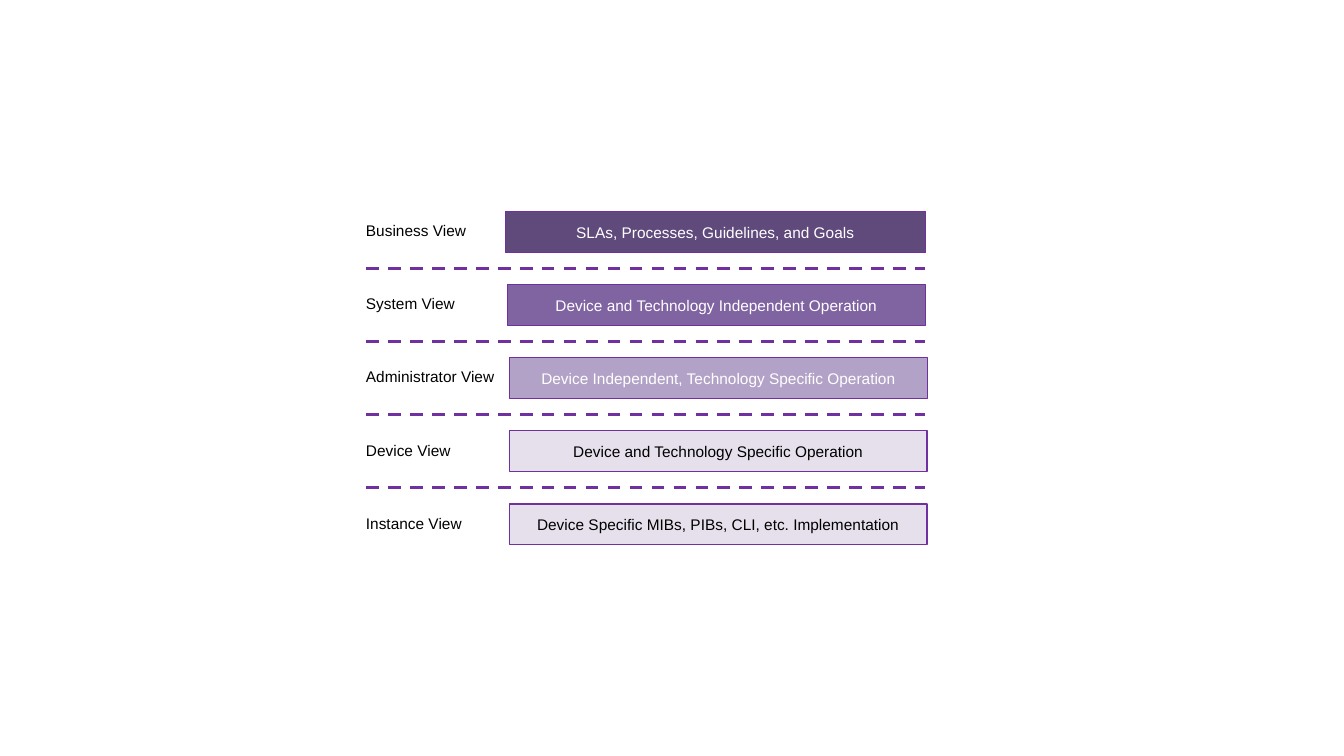
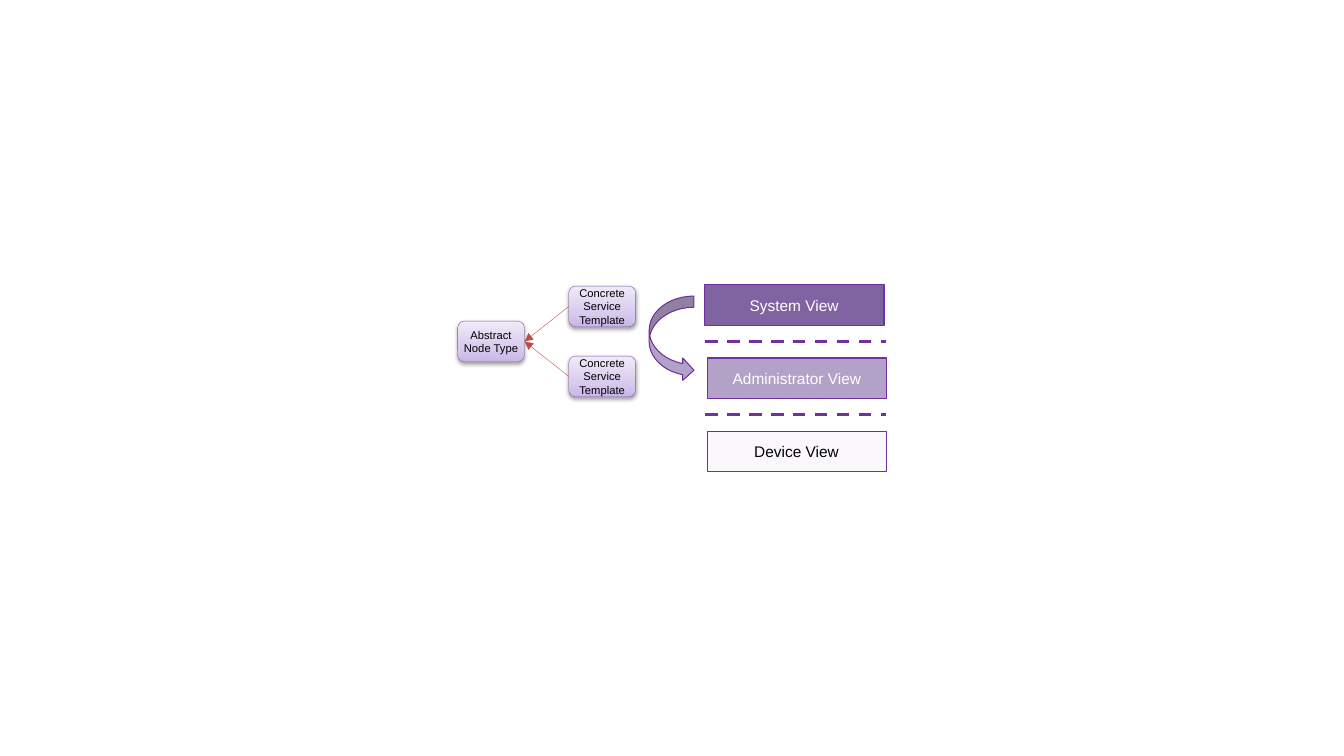
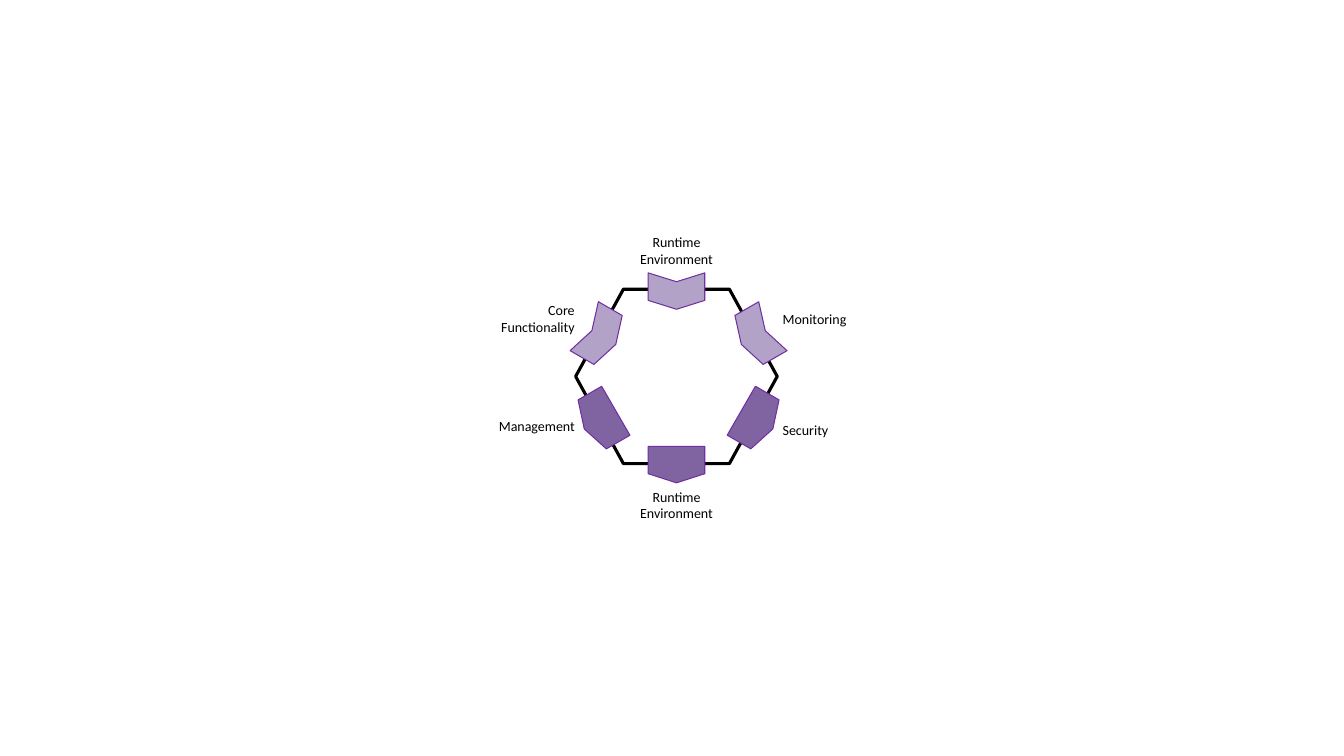
from lxml import etree
from pptx import Presentation
from pptx.dml.color import RGBColor
from pptx.enum.dml import MSO_LINE
from pptx.enum.shapes import MSO_CONNECTOR, MSO_SHAPE
from pptx.enum.text import MSO_ANCHOR, PP_ALIGN
from pptx.oxml import parse_xml
from pptx.oxml.ns import nsdecls, qn
from pptx.util import Pt

RECT = MSO_SHAPE.RECTANGLE
ROUNDED = MSO_SHAPE.ROUNDED_RECTANGLE
CURVED_ARROW = MSO_SHAPE.CURVED_RIGHT_ARROW
HEXAGON = MSO_SHAPE.HEXAGON
CHEVRON = MSO_SHAPE.CHEVRON
PENTAGON = MSO_SHAPE.PENTAGON
STRAIGHT = MSO_CONNECTOR.STRAIGHT
DASH = MSO_LINE.DASH
MIDDLE = MSO_ANCHOR.MIDDLE
LEFT, CENTER, RIGHT = PP_ALIGN.LEFT, PP_ALIGN.CENTER, PP_ALIGN.RIGHT

BLACK, WHITE = "000000", "FFFFFF"
OUTLINE = "7030A0"
DEEP, STRONG, MEDIUM, PALE = "604A7B", "8064A2", "B3A2C7", "E6E0EC"
NODE_LINE, ARROW = "7D60A0", "BF4C48"
NODE_STOPS = ((0, "C9B5E8"), (35, "D8CBEE"), (100, "F0EAF9"))

ROW_PITCH, BAR_HEIGHT, RULE_DROP = 52.2, 29, 40.4


def rgb(value):
    """Turn a hex string into a colour."""
    return RGBColor.from_string(value)


def write(tf, text, size, font, color, align):
    """Fill a text frame and format all its paragraphs."""
    tf.text = text
    for p in tf.paragraphs:
        p.alignment = align
        for r in p.runs:
            r.font.size = Pt(size)
            r.font.name = font
            r.font.color.rgb = rgb(color)


def set_insets(tf, left, top, right, bottom):
    """Set the four margins of a text frame."""
    tf.margin_left, tf.margin_top = Pt(left), Pt(top)
    tf.margin_right, tf.margin_bottom = Pt(right), Pt(bottom)


def add_box(slide, kind, box, fill, line=OUTLINE, weight=0.75):
    """Add a flat preset shape in the given box."""
    sp = slide.shapes.add_shape(kind, *(Pt(v) for v in box))
    sp.shadow.inherit = False
    sp.fill.solid()
    sp.fill.fore_color.rgb = rgb(fill)
    sp.line.color.rgb = rgb(line)
    sp.line.width = Pt(weight)
    return sp


def add_label(slide, box, text, size, font, align, insets=(0, 0, 0, 0)):
    """Add an unwrapped black label."""
    tf = slide.shapes.add_textbox(*(Pt(v) for v in box)).text_frame
    tf.word_wrap = False
    set_insets(tf, *insets)
    write(tf, text, size, font, BLACK, align)


def add_line(slide, start, end, color, weight):
    """Add a straight connector without a shadow."""
    line = slide.shapes.add_connector(STRAIGHT, *(Pt(v) for v in start + end))
    line.line.color.rgb = rgb(color)
    line.line.width = Pt(weight)
    etree.SubElement(line._element.spPr, qn("a:effectLst"))
    return line


def view_stack(slide, left, top, rule_left, rule_width, bars):
    """Stack view bars with a dashed rule between neighbours."""
    shapes = []
    for i, (text, fill, color, shift, width) in enumerate(bars):
        y = top + i * ROW_PITCH
        if i < len(bars) - 1:
            rule_y = y + RULE_DROP
            rule = add_line(slide, (rule_left, rule_y),
                            (rule_left + rule_width, rule_y), OUTLINE, 2.25)
            rule.line.dash_style = DASH
        sp = add_box(slide, RECT, (left + shift, y, width, BAR_HEIGHT), fill)
        sp.text_frame.vertical_anchor = MIDDLE
        write(sp.text_frame, text, 11, "Arial", color, CENTER)
        shapes.append(sp)
    return shapes


def views_slide(slide, left, top):
    """Show the five policy views with their names."""
    bars = (
        ("SLAs, Processes, Guidelines, and Goals", DEEP, WHITE, 0, 299.6),
        ("Device and Technology Independent Operation", STRONG, WHITE, 1.4, 298.2),
        ("Device Independent, Technology Specific Operation", MEDIUM, WHITE, 3, 298.2),
        ("Device and Technology Specific Operation", PALE, BLACK, 2.8, 298.2),
        ("Device Specific MIBs, PIBs, CLI, etc. Implementation", PALE, BLACK, 2.8, 298.2),
    )
    names = ("Business View", "System View", "Administrator View",
             "Device View", "Instance View")
    view_stack(slide, left + 99.8, top, left + 0.3, 398.9, bars)
    for i, name in enumerate(names):
        add_label(slide, (left, top + 3.4 + i * ROW_PITCH, 100, 20.9),
                  name, 11, "Arial", LEFT, (0, 3.6, 7.2, 3.6))


def add_node(slide, left, top, text):
    """Add a rounded node with a gradient and a soft shadow."""
    sp = add_box(slide, ROUNDED, (left, top, 47.8, 29), WHITE, NODE_LINE, 0.25)
    stops = "".join(f'<a:gs pos="{pos * 1000}"><a:srgbClr val="{color}"/></a:gs>'
                    for pos, color in NODE_STOPS)
    spPr = sp._element.spPr
    spPr.replace(spPr.find(qn("a:solidFill")), parse_xml(
        f'<a:gradFill {nsdecls("a")} rotWithShape="1"><a:gsLst>{stops}</a:gsLst>'
        '<a:lin ang="16200000" scaled="1"/></a:gradFill>'))
    spPr.replace(spPr.find(qn("a:effectLst")), parse_xml(
        f'<a:effectLst {nsdecls("a")}>'
        f'<a:outerShdw blurRad="{Pt(3.1)}" dist="{Pt(1.6)}" dir="5400000" rotWithShape="0">'
        '<a:srgbClr val="000000"><a:alpha val="38000"/></a:srgbClr>'
        '</a:outerShdw></a:effectLst>'))
    tf = sp.text_frame
    tf.vertical_anchor = MIDDLE
    set_insets(tf, 0, 0, 0, 0)
    write(tf, text, 8, "Arial", BLACK, CENTER)
    return sp


def node_tree(slide, left, top):
    """Link two concrete templates to their abstract type."""
    abstract = add_node(slide, left, top + 25, "Abstract\nNode Type")
    for drop in (0, 50):
        concrete = add_node(slide, left + 79.4, top + drop,
                            "Concrete\nService\nTemplate")
        link = add_line(slide, (0, 0), (0, 0), ARROW, 0.25)
        link.begin_connect(concrete, 1)
        link.end_connect(abstract, 3)
        etree.SubElement(link.line._get_or_add_ln(), qn("a:tailEnd"), type="triangle")


def mapping_slide(slide, left, top):
    """Show how the system view maps to the administrator view."""
    bars = (
        ("System View", STRONG, WHITE, 0, 128.4),
        ("Administrator View", MEDIUM, WHITE, 2.1, 128.2),
        ("Device View", PALE, BLACK, 1.8, 128.2),
    )
    device = view_stack(slide, left + 176.2, top, left + 176.8, 129.3, bars)[-1]
    device.line.width = Pt(0.25)
    color = device._element.spPr.find(qn("a:solidFill"))[0]
    etree.SubElement(color, qn("a:alpha"), val="20000")
    add_box(slide, CURVED_ARROW, (left + 136.8, top + 8, 32, 61), MEDIUM)
    node_tree(slide, left, top + 0.9)


def ring_slide(slide, left, top):
    """Show six aspects around a hexagon."""
    width, height = 144, 124.6
    ring = add_box(slide, HEXAGON, (left, top, width, height), WHITE, BLACK, 2.25)
    ring.adjustments[0] = 0.274
    cx, cy = left + width / 2, top + height / 2
    pieces = (
        (CHEVRON, 0, -61, 90), (CHEVRON, -54.6, -29.4, 30), (CHEVRON, 57.6, -29.4, 150),
        (PENTAGON, 0, 63, 90), (PENTAGON, -54.6, 31, 150), (PENTAGON, 57.6, 31, 30),
    )
    w, h = 26, 40.4
    for kind, dx, dy, angle in pieces:
        fill, adj = (MEDIUM, 0.244) if kind == CHEVRON else (STRONG, 0.25)
        sp = add_box(slide, kind, (cx + dx - w / 2, cy + dy - h / 2, w, h), fill)
        sp.adjustments[0] = adj
        sp.rotation = angle
    labels = (
        ("Runtime\nEnvironment", 45.4, -39.6, 53.3, CENTER),
        ("Runtime\nEnvironment", 45.4, 142, 53.3, CENTER),
        ("Core\nFunctionality", -54, 8.8, 53.3, RIGHT),
        ("Management", -55.4, 91.6, 55.4, CENTER),
        ("Monitoring", 147.6, 15.2, 46.1, CENTER),
        ("Security", 147.6, 94.4, 33.1, CENTER),
    )
    for text, dx, dy, label_width, align in labels:
        lines = text.count("\n") + 1
        add_label(slide, (left + dx, top + dy, label_width, 12.2 * lines),
                  text, 10, "Calibri", align)


def main():
    """Build the deck and save it."""
    prs = Presentation()
    prs.slide_width, prs.slide_height = Pt(960), Pt(540)
    blank = prs.slide_layouts[6]
    for build, left, top in ((views_slide, 261.4, 151.2),
                             (mapping_slide, 326.9, 203.5),
                             (ring_slide, 411.2, 206.6)):
        build(prs.slides.add_slide(blank), left, top)
    prs.save("out.pptx")


if __name__ == "__main__":
    main()
